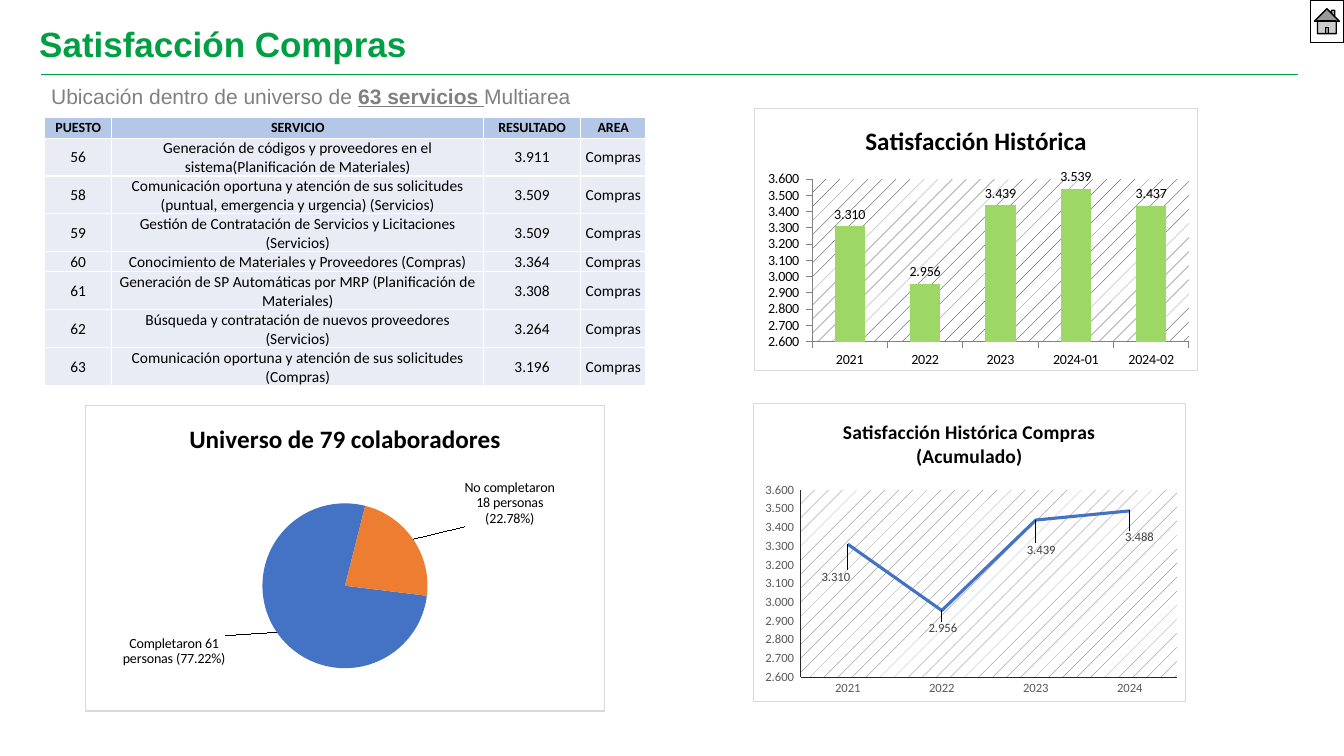
from dataclasses import dataclass

from lxml.etree import SubElement
from pptx import Presentation
from pptx.chart.data import CategoryChartData
from pptx.dml.color import RGBColor
from pptx.enum.chart import XL_CHART_TYPE as CT, XL_LABEL_POSITION as POS, XL_TICK_MARK as TICK
from pptx.enum.shapes import MSO_CONNECTOR, MSO_SHAPE
from pptx.enum.text import MSO_ANCHOR, PP_ALIGN
from pptx.oxml import parse_xml
from pptx.oxml.ns import nsdecls, qn
from pptx.util import Cm, Pt


@dataclass(frozen=True)
class Theme:
    green: str = "009F43"
    grey: str = "808080"
    black: str = "000000"
    white: str = "FFFFFF"
    header: str = "B4C7E7"
    body: str = "E9EBF5"
    frame: str = "D9D9D9"
    blue: str = "4472C4"
    orange: str = "ED7D31"
    lime: str = "9DD866"
    axis_text: str = "595959"
    axis_line: str = "262626"
    label: str = "404040"
    heading: str = "Arial"
    text: str = "Calibri"
    title_size: float = 25
    subtitle_size: float = 15
    chart_title: float = 18
    line_title: float = 14
    cell: float = 11
    small: float = 10
    tiny: float = 9


NUMBER = r'_-* #,##0.000_-;\-* #,##0.000_-;_-* "-"?'


def set_font(font, color, **values):
    for name, value in values.items():
        setattr(font, name, Pt(value) if name == "size" else value)
    font.color.rgb = RGBColor.from_string(color)


def set_fill(fill, color):
    fill.solid()
    fill.fore_color.rgb = RGBColor.from_string(color)


def set_line(line, color, width):
    set_fill(line.fill, color)
    line.width = Pt(width)


def layout(x, y, w=None, h=None):
    """Manual layout: an inner plot box, or an offset when no size is given."""
    items = [("x", x), ("y", y)]
    if w is not None:
        items = [("layoutTarget", "inner"), ("xMode", "edge"), ("yMode", "edge"),
                 *items, ("w", w), ("h", h)]
    body = "".join(f'<c:{tag} val="{value}"/>' for tag, value in items)
    return parse_xml(f'<c:layout {nsdecls("c")}><c:manualLayout>{body}</c:manualLayout></c:layout>')


class SlideBuilder:
    def __init__(self, slide, theme):
        self.shapes, self.theme = slide.shapes, theme

    def text(self, box, runs, size, color):
        tf = self.shapes.add_textbox(*map(Cm, box)).text_frame
        tf.word_wrap, tf.vertical_anchor = True, MSO_ANCHOR.MIDDLE
        p = tf.paragraphs[0]
        p.line_spacing = 0.9
        for text, style in runs:
            r = p.add_run()
            r.text = text
            set_font(r.font, color, size=size, name=self.theme.heading, **style)

    def rule(self, x1, x2, y):
        sp = self.shapes.add_connector(MSO_CONNECTOR.STRAIGHT, Cm(x1), Cm(y), Cm(x2), Cm(y))
        set_line(sp.line, self.theme.green, 0.5)
        SubElement(sp._element.spPr, qn("a:effectLst"))

    def home_button(self, box):
        sp = self.shapes.add_shape(MSO_SHAPE.ACTION_BUTTON_HOME, *map(Cm, box))
        sp.shadow.inherit = False
        set_fill(sp.fill, self.theme.white)
        set_line(sp.line, self.theme.black, 1)

    def table(self, left, top, widths, heights, rows):
        t = self.theme
        table = self.shapes.add_table(len(rows), len(widths), Cm(left), Cm(top),
                                      Cm(sum(widths)), Cm(sum(heights))).table
        table.first_row = table.horz_banding = False
        for column, width in zip(table.columns, widths):
            column.width = Cm(width)
        for i, (row, height, values) in enumerate(zip(table.rows, heights, rows)):
            row.height = Cm(height)
            for cell, value in zip(row.cells, values):
                cell.margin_left = cell.margin_right = cell.margin_top = Cm(0.02)
                cell.margin_bottom = 0
                cell.vertical_anchor = MSO_ANCHOR.MIDDLE
                set_fill(cell.fill, t.body if i else t.header)
                cell.text = value
                p = cell.text_frame.paragraphs[0]
                p.alignment = PP_ALIGN.CENTER
                set_font(p.runs[0].font, t.black, name=t.text, bold=i == 0,
                         size=t.cell if i else t.small)

    def chart(self, kind, box, title, title_size, points, plot_box):
        """Add a framed chart with one series; return the chart and the series."""
        t = self.theme
        data = CategoryChartData(number_format="0.000")
        data.categories = list(points)
        data.add_series("Series 1", list(points.values()))
        chart = self.shapes.add_chart(kind, *map(Cm, box), data).chart
        set_font(chart.font, t.black, size=t.small, name=t.text)
        chart.has_legend, chart.has_title = False, True
        chart.chart_title.include_in_layout = False
        p = chart.chart_title.text_frame.paragraphs[0]
        r = p.add_run()
        r.text = title
        set_font(r.font, t.black, size=title_size, name=t.text, bold=True)
        chart.plots[0].vary_by_categories = kind == CT.PIE
        area = chart._chartSpace.chart.plotArea
        for old in area.findall(qn("c:layout")):
            area.remove(old)
        area.insert(0, layout(*plot_box))
        chart._chartSpace.chart.addnext(parse_xml(
            f'<c:spPr {nsdecls("c", "a")}><a:solidFill><a:srgbClr val="{t.white}"/></a:solidFill>'
            f'<a:ln w="9525"><a:solidFill><a:srgbClr val="{t.frame}"/></a:solidFill></a:ln></c:spPr>'))
        return chart, chart.plots[0].series[0]

    def axes(self, chart, hatch, line, tick, **font):
        for axis in (chart.category_axis, chart.value_axis):
            axis.major_tick_mark, axis.minor_tick_mark = tick, TICK.NONE
            axis.has_major_gridlines = False
            set_line(axis.format.line, line, 0.75)
            set_font(axis.tick_labels.font, name=self.theme.text, **font)
        scale = dict(minimum_scale=2.6, maximum_scale=3.6, major_unit=0.1)
        for name, value in scale.items():
            setattr(chart.value_axis, name, value)
        labels = chart.value_axis.tick_labels
        labels.number_format, labels.number_format_is_linked = NUMBER, False
        chart._chartSpace.chart.plotArea.append(parse_xml(
            f'<c:spPr {nsdecls("c", "a")}><a:pattFill prst="pct5">'
            f'<a:fgClr><a:srgbClr val="{hatch}"/></a:fgClr>'
            f'<a:bgClr><a:srgbClr val="{self.theme.white}"/></a:bgClr></a:pattFill></c:spPr>'))

    def pie(self, box, title, points, offsets):
        t = self.theme
        chart, series = self.chart(CT.PIE, box, title, t.chart_title, points, (0.34, 0.32, 0.32, 0.54))
        first = chart.plots[0]._element.find(qn("c:firstSliceAng"))
        if first is None:
            first = SubElement(chart.plots[0]._element, qn("c:firstSliceAng"))
        first.set("val", "97")
        for i, (name, color, offset) in enumerate(zip(points, (t.blue, t.orange), offsets)):
            set_fill(series.points[i].format.fill, color)
            label = series.points[i].data_label
            label.text_frame.text = name
            r = label.text_frame.paragraphs[0].runs[0]
            set_font(r.font, t.black, size=t.small, name=t.text)
            label.position = POS.OUTSIDE_END
            label._get_or_add_dLbl().insert(1, layout(*offset))

    def columns(self, box, title, points):
        t = self.theme
        chart, series = self.chart(CT.COLUMN_CLUSTERED, box, title, t.chart_title, points,
                                   (0.13, 0.27, 0.85, 0.62))
        self.axes(chart, t.black, t.grey, TICK.OUTSIDE, color=t.black, size=t.small)
        chart.plots[0].gap_width = 150
        set_fill(series.format.fill, t.lime)
        labels = series.data_labels
        labels.show_value, labels.position = True, POS.OUTSIDE_END
        labels.number_format, labels.number_format_is_linked = NUMBER, False

    def line(self, box, title, points, offsets):
        t = self.theme
        chart, series = self.chart(CT.LINE_STACKED, box, title, t.line_title, points,
                                   (0.11, 0.29, 0.87, 0.63))
        self.axes(chart, t.axis_text, t.axis_line, TICK.NONE, color=t.axis_text, size=t.tiny)
        series.smooth = False
        set_line(series.format.line, t.blue, 2.25)
        for i, offset in enumerate(offsets):
            label = series.points[i].data_label
            set_font(label.font, t.label, size=t.tiny, name=t.text)
            label.position = POS.RIGHT
            label._get_or_add_dLbl().insert(1, layout(*offset))
        series.data_labels.show_value = True


SERVICES = [
    ("56", "Generación de códigos y proveedores en el sistema(Planificación de Materiales)", "3.911"),
    ("58", "Comunicación oportuna y atención de sus solicitudes (puntual, emergencia y urgencia) (Servicios)", "3.509"),
    ("59", "Gestión de Contratación de Servicios y Licitaciones (Servicios)", "3.509"),
    ("60", "Conocimiento de Materiales y Proveedores (Compras)", "3.364"),
    ("61", "Generación de SP Automáticas por MRP (Planificación de Materiales)", "3.308"),
    ("62", "Búsqueda y contratación de nuevos proveedores (Servicios)", "3.264"),
    ("63", "Comunicación oportuna y atención de sus solicitudes (Compras)", "3.196"),
]


def main():
    prs = Presentation()
    prs.slide_width, prs.slide_height = Cm(33.87), Cm(19.05)
    t = Theme()
    s = SlideBuilder(prs.slides.add_slide(prs.slide_layouts[6]), t)
    s.rule(1.04, 32.72, 1.88)
    s.text((0.74, 0.61, 29.44, 1.12), [("Satisfacción Compras", {"bold": True})], t.title_size, t.green)
    s.text((1.04, 2.11, 13.82, 0.69),
           [("Ubicación dentro de universo de ", {}),
            ("63 servicios ", {"bold": True, "underline": True}), ("Multiarea", {})],
           t.subtitle_size, t.grey)
    s.home_button((33.02, 0, 0.84, 1.07))
    rows = [("PUESTO", "SERVICIO", "RESULTADO", "AREA")] + [(*row, "Compras") for row in SERVICES]
    heights = [0.53] + [0.51 if row[0] == "60" else 0.95 for row in SERVICES]
    s.table(1.12, 2.95, (1.7, 9.37, 2.44, 1.65), heights, rows)
    s.pie((2.13, 10.21, 13.13, 7.72), "Universo de 79 colaboradores",
          {"Completaron 61 personas (77.22%)": 77, "No completaron 18 personas (22.78%)": 23},
          [(-0.09, 0), (0.09, -0.03)])
    s.columns((19, 2.72, 11.2, 6.63), "Satisfacción Histórica",
              {"2021": 3.31, "2022": 2.956, "2023": 3.439, "2024-01": 3.539, "2024-02": 3.437})
    s.line((18.97, 10.16, 10.92, 7.52), "Satisfacción Histórica Compras (Acumulado)",
           {"2021": 3.31, "2022": 2.956, "2023": 3.439, "2024": 3.488},
           [(-0.07, 0.11), (-0.04, 0.06), (-0.03, 0.1), (-0.02, 0.09)])
    prs.save("out.pptx")


if __name__ == "__main__":
    main()
